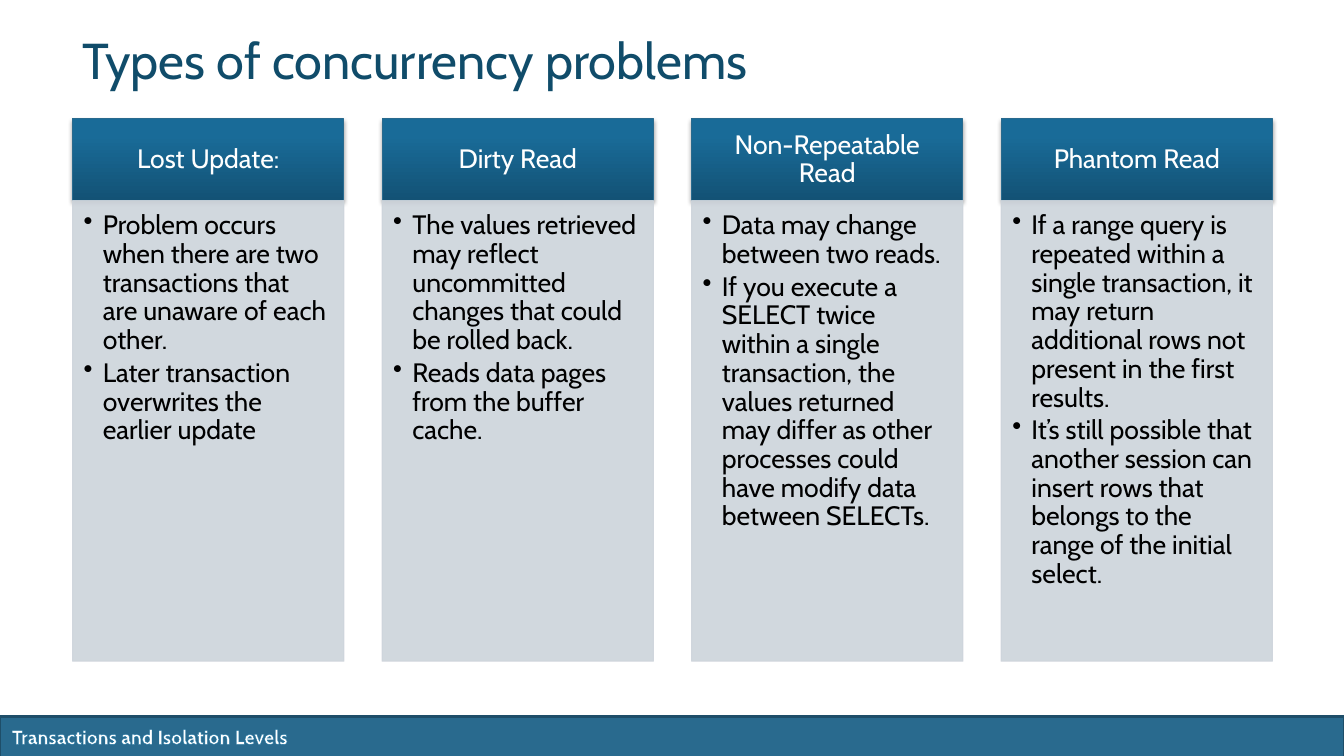
"""Build a slide that compares four types of concurrency problems."""
from lxml import etree
from pptx import Presentation
from pptx.dml.color import RGBColor
from pptx.enum.shapes import MSO_SHAPE
from pptx.enum.text import MSO_ANCHOR, PP_ALIGN
from pptx.oxml import parse_xml
from pptx.oxml.ns import nsdecls, qn
from pptx.util import Inches, Pt

TITLE = "Types of concurrency problems"
FOOTER = "Transactions and Isolation Levels"
PROBLEMS = [
    ("Lost Update:", [
        "Problem occurs when there are two transactions that are unaware of each other.",
        "Later transaction overwrites the earlier update"]),
    ("Dirty Read", [
        "The values retrieved may reflect uncommitted changes that could be rolled back.",
        "Reads data pages from the buffer cache."]),
    ("Non-Repeatable Read", [
        "Data may change between two reads.",
        "If you execute a SELECT twice within a single transaction, the values returned "
        "may differ as other processes could have modify data between SELECTs."]),
    ("Phantom Read", [
        "If a range query is repeated within a single transaction, it may return "
        "additional rows not present in the first results.",
        "It’s still possible that another session can insert rows that belongs to the "
        "range of the initial select."]),
]

RECTANGLE = MSO_SHAPE.RECTANGLE
TOP, MIDDLE = MSO_ANCHOR.TOP, MSO_ANCHOR.MIDDLE
LEFT, CENTER = PP_ALIGN.LEFT, PP_ALIGN.CENTER

WHITE = RGBColor(0xFF, 0xFF, 0xFF)
BLACK = RGBColor(0x00, 0x00, 0x00)
TITLE_BLUE = RGBColor(0x10, 0x4C, 0x6A)
BAR_BLUE = RGBColor(0x29, 0x6A, 0x8E)
BAR_EDGE = RGBColor(0x1E, 0x4E, 0x69)
TEXT_EDGE = RGBColor(0x18, 0x72, 0xA0)
PANEL_GREY = RGBColor(0xCD, 0xD4, 0xDB)
HEADER_STOPS = [
    (0, RGBColor(0x13, 0x52, 0x75)),
    (80, RGBColor(0x19, 0x6B, 0x98)),
    (100, RGBColor(0x17, 0x6C, 0x9B)),
]

FONT = "Cabin"
SLIDE_WIDTH, SLIDE_HEIGHT = 13.33, 7.5
MARGIN = 0.72
CONTENT_WIDTH = 11.9
COLUMN_WIDTH = 2.69
COLUMN_STEP = (CONTENT_WIDTH - COLUMN_WIDTH) / (len(PROBLEMS) - 1)
HEADER_TOP, HEADER_HEIGHT, PANEL_HEIGHT = 1.18, 0.81, 4.57
BAR_TOP = 7.11
BULLET_INDENT = 0.19

TITLE_FORMAT = {"size": Pt(36), "color": TITLE_BLUE, "line_spacing": Pt(35)}
FOOTER_FORMAT = {"size": Pt(14), "color": WHITE, "bold": True}
HEADER_FORMAT = {"size": Pt(19), "color": WHITE, "alignment": CENTER,
                 "line_spacing": 0.9, "anchor": MIDDLE,
                 "insets": (0.15, 0.08, 0.15, 0.08)}
PANEL_FORMAT = {"size": Pt(19), "color": BLACK, "line_spacing": 0.9,
                "space_after": Pt(2.85), "insets": (0.11, 0.11, 0.15, 0.17)}


def add_rectangle(slide, box, fill, edge, edge_width):
    shape = slide.shapes.add_shape(RECTANGLE, *map(Inches, box))
    shape.shadow.inherit = False
    shape.fill.solid()
    shape.fill.fore_color.rgb = fill
    shape.line.color.rgb = edge
    shape.line.width = Pt(edge_width)
    return shape


def write(shape, lines, style):
    frame = shape.text_frame
    frame.word_wrap = True
    frame.vertical_anchor = style.get("anchor", TOP)
    sides = ("left", "top", "right", "bottom")
    for side, inset in zip(sides, style.get("insets", (0.1, 0.05, 0.1, 0.05))):
        setattr(frame, f"margin_{side}", Inches(inset))
    for index, line in enumerate(lines):
        paragraph = frame.add_paragraph() if index else frame.paragraphs[0]
        paragraph.alignment = style.get("alignment", LEFT)
        for name in ("line_spacing", "space_after"):
            setattr(paragraph, name, style.get(name))
        run = paragraph.add_run()
        run.text = line
        run.font.color.rgb = style["color"]
        values = {"name": FONT, "size": style["size"], "bold": style.get("bold", False)}
        for name, value in values.items():
            setattr(run.font, name, value)


def add_bullets(shape):
    for paragraph in shape.text_frame.paragraphs:
        properties = paragraph._p.get_or_add_pPr()
        properties.set("marL", str(Inches(BULLET_INDENT)))
        properties.set("indent", str(-Inches(BULLET_INDENT)))
        etree.SubElement(properties, qn("a:buChar")).set("char", "•")


def set_gradient(shape):
    stops = "".join(
        f'<a:gs pos="{position * 1000}"><a:srgbClr val="{color}"/></a:gs>'
        for position, color in HEADER_STOPS)
    solid = shape._element.spPr.find(qn("a:solidFill"))
    solid.getparent().replace(solid, parse_xml(
        f'<a:gradFill {nsdecls("a")} rotWithShape="1"><a:gsLst>{stops}</a:gsLst>'
        '<a:lin ang="16200000" scaled="0"/></a:gradFill>'))


def set_shadow(shape):
    effects = shape._element.spPr.find(qn("a:effectLst"))
    effects.append(parse_xml(
        f'<a:outerShdw {nsdecls("a")} blurRad="{Pt(3.1)}" dist="{Pt(1.8)}" '
        'dir="5400000" rotWithShape="0"><a:srgbClr val="000000">'
        '<a:alpha val="35000"/></a:srgbClr></a:outerShdw>'))


def set_opacity(shape, percent):
    for color in shape._element.spPr.iter(qn("a:srgbClr")):
        etree.SubElement(color, qn("a:alpha")).set("val", str(percent * 1000))


def outline_text(shape):
    for run in shape.text_frame.paragraphs[0].runs:
        run._r.get_or_add_rPr().insert(0, parse_xml(
            f'<a:ln {nsdecls("a")} w="{Pt(0.8)}"><a:solidFill>'
            f'<a:srgbClr val="{TEXT_EDGE}"/></a:solidFill></a:ln>'))


def add_problem(slide, column, heading, points):
    left = MARGIN + column * COLUMN_STEP
    header = add_rectangle(slide, (left, HEADER_TOP, COLUMN_WIDTH, HEADER_HEIGHT),
                           BAR_BLUE, BAR_BLUE, 0.75)
    set_gradient(header)
    set_shadow(header)
    write(header, [heading], HEADER_FORMAT)
    panel = add_rectangle(
        slide, (left, HEADER_TOP + HEADER_HEIGHT, COLUMN_WIDTH, PANEL_HEIGHT),
        PANEL_GREY, PANEL_GREY, 0.75)
    set_opacity(panel, 90)
    write(panel, points, PANEL_FORMAT)
    add_bullets(panel)


def main():
    presentation = Presentation()
    presentation.slide_width = Inches(SLIDE_WIDTH)
    presentation.slide_height = Inches(SLIDE_HEIGHT)
    slide = presentation.slides.add_slide(presentation.slide_layouts[6])
    add_rectangle(slide, (0, BAR_TOP, SLIDE_WIDTH, 0.4), BAR_BLUE, BAR_EDGE, 2)
    footer = slide.shapes.add_textbox(*map(Inches, (0.02, BAR_TOP + 0.03, 6.06, 0.34)))
    write(footer, [FOOTER], FOOTER_FORMAT)
    outline_text(footer)
    title = slide.shapes.add_textbox(*map(Inches, (MARGIN, 0.35, CONTENT_WIDTH, 0.5)))
    write(title, [TITLE], TITLE_FORMAT)
    for column, (heading, points) in enumerate(PROBLEMS):
        add_problem(slide, column, heading, points)
    presentation.save("out.pptx")


if __name__ == "__main__":
    main()
